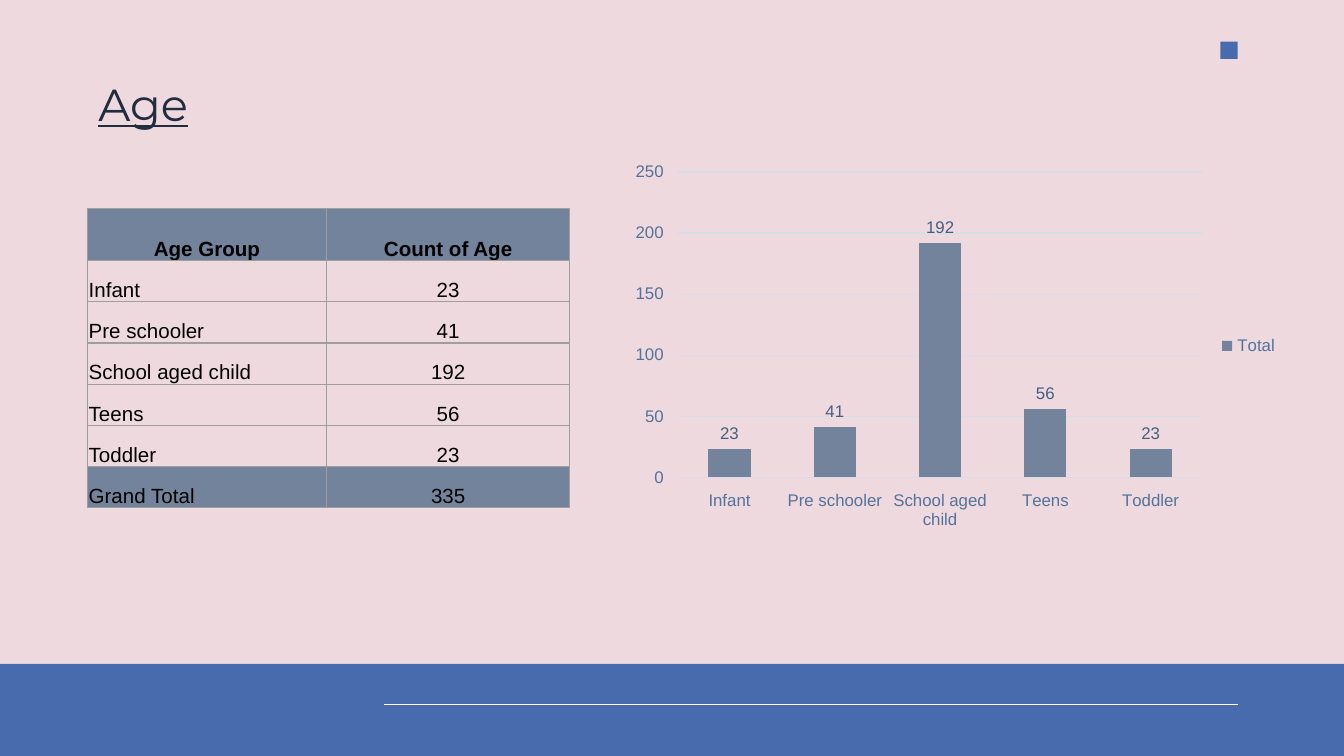
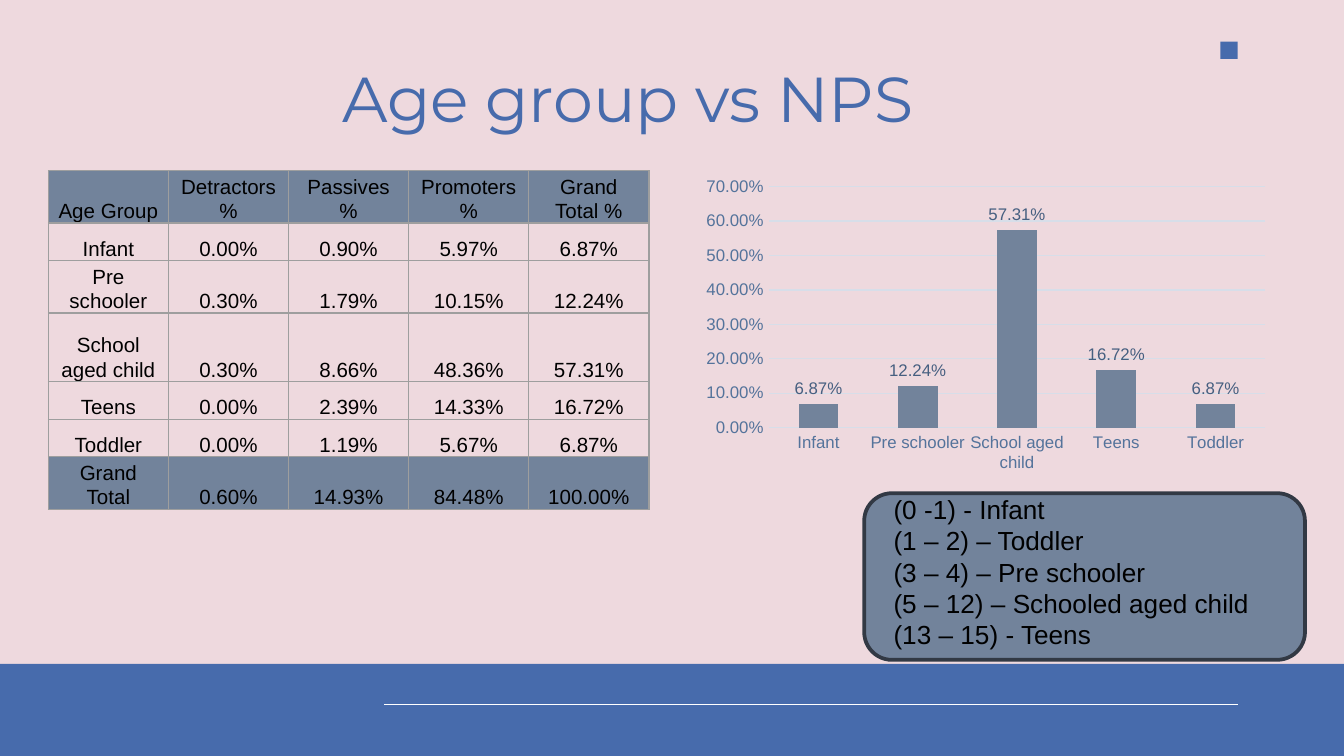
import pptx
import pptx.chart.data
import pptx.dml.color
import pptx.enum.chart
import pptx.enum.shapes
import pptx.enum.text
import pptx.oxml
import pptx.oxml.ns
import pptx.util
from pptx.util import Inches, Pt

PINK, BLUE, SLATE, NAVY = "EED9DE", "476BAC", "72839B", "212D3D"
BLACK, WHITE, BORDER, OUTLINE = "000000", "FFFFFF", "9E9E9E", "323944"
AXIS_TEXT, LABEL_TEXT, GRID = "54739B", "465F80", "D7DEE9"
ALIGN = pptx.enum.text.PP_ALIGN
TICK = pptx.enum.chart.XL_TICK_MARK
SHAPE = pptx.enum.shapes.MSO_SHAPE
AGE_GROUPS = ["Infant", "Pre schooler", "School aged child", "Teens", "Toddler"]


def rgb(value):
    return pptx.dml.color.RGBColor.from_string(value)


def style_font(font, size, color, name="Arial"):
    font.size = Pt(size)
    font.name = name
    font.color.rgb = rgb(color)


pages = [
    {
        "title": "Age", "title_at": (0.52, 0.47, 1.09, 0.49),
        "title_size": 24, "title_color": NAVY, "underline": True,
        "table_at": (0.65, 1.55, 3.59, 2.23),
        "columns": [1.78, 1.81], "rows": [0.39] + [(2.23 - 0.39) / 6] * 6,
        "margins": (0.01, 0.01, 0.01, 0), "bold_header": True,
        "first_column": ALIGN.JUSTIFY, "line_spacing": None, "space_after": None,
        "header": ["Age Group", "Count of Age"],
        "body": [["23"], ["41"], ["192"], ["56"], ["23"]],
        "total": ["Grand Total", "335"],
        "chart_at": (4.63, 1.15, 4.98, 2.85),
        "series": "Total", "values": [23, 41, 192, 56, 23], "format": "General",
        "top": 250, "step": 50, "tick": TICK.OUTSIDE, "legend": True,
    },
    {
        "title": "Age group vs NPS", "title_at": (1.55, 0.34, 6.24, 0.63),
        "title_size": 34, "title_color": BLUE, "underline": None,
        "table_at": (0.36, 1.27, 4.47, 2.49),
        "columns": [4.47 / 5] * 5, "rows": [0.39, 0.28, 0.39, 0.51, 0.28, 0.28, 0.39],
        "margins": (0.07, 0, 0.07, 0), "bold_header": False,
        "first_column": ALIGN.CENTER, "line_spacing": 1.07, "space_after": Pt(8),
        "header": ["Age Group", "Detractors %", "Passives %", "Promoters %", "Grand Total %"],
        "body": [
            ["0.00%", "0.90%", "5.97%", "6.87%"],
            ["0.30%", "1.79%", "10.15%", "12.24%"],
            ["0.30%", "8.66%", "48.36%", "57.31%"],
            ["0.00%", "2.39%", "14.33%", "16.72%"],
            ["0.00%", "1.19%", "5.67%", "6.87%"],
        ],
        "total": ["Grand Total", "0.60%", "14.93%", "84.48%", "100.00%"],
        "chart_at": (5.17, 1.27, 4.33, 2.29),
        "series": "Series 1", "values": [0.0687, 0.1224, 0.5731, 0.1672, 0.0687],
        "format": "0.00%",
        "top": 0.7, "step": 0.1, "tick": TICK.NONE, "legend": False,
    },
]

deck = pptx.Presentation()
deck.slide_width = Inches(10)
deck.slide_height = Inches(10 * 9 / 16)

for page in pages:
    slide = deck.slides.add_slide(deck.slide_layouts[5])
    slide.background.fill.solid()
    slide.background.fill.fore_color.rgb = rgb(PINK)

    # Corner square, footer band and footer rule
    for place in [(9.08, 0.31, 0.13, 0.13), (0, 4.94, 10, 0.69)]:
        block = slide.shapes.add_shape(SHAPE.RECTANGLE, *map(Inches, place))
        block.shadow.inherit = False
        block.fill.solid()
        block.fill.fore_color.rgb = rgb(BLUE)
        block.line.fill.background()
    rule = slide.shapes.add_connector(
        pptx.enum.shapes.MSO_CONNECTOR.STRAIGHT,
        Inches(2.86), Inches(5.24), Inches(9.21), Inches(5.24))
    rule.line.color.rgb = rgb(WHITE)
    rule.line.width = Pt(0.75)
    rule._element.spPr.append(pptx.oxml.parse_xml(
        f"<a:effectLst {pptx.oxml.ns.nsdecls('a')}/>"))

    # Title
    title = slide.shapes.title
    title.left, title.top, title.width, title.height = map(Inches, page["title_at"])
    frame = title.text_frame
    frame.text = page["title"]
    frame.word_wrap = True
    frame.auto_size = pptx.enum.text.MSO_AUTO_SIZE.NONE
    frame.vertical_anchor = pptx.enum.text.MSO_ANCHOR.TOP
    frame.margin_left = frame.margin_right = Inches(0.1)
    frame.margin_top = frame.margin_bottom = Inches(0.1)
    para = frame.paragraphs[0]
    para.alignment = ALIGN.CENTER
    span = para.runs[0]
    style_font(span.font, page["title_size"], page["title_color"], "Montserrat")
    span.font.underline = page["underline"]

    # Table
    body = [[group] + cells for group, cells in zip(AGE_GROUPS, page["body"])]
    rows = [page["header"]] + body + [page["total"]]
    table = slide.shapes.add_table(
        len(rows), len(page["columns"]), *map(Inches, page["table_at"])).table
    for column, width in zip(table.columns, page["columns"]):
        column.width = Inches(width)
    for row, height in zip(table.rows, page["rows"]):
        row.height = Inches(height)
    for row_index, texts in enumerate(rows):
        for column_index, text in enumerate(texts):
            cell = table.cell(row_index, column_index)
            cell.text = text
            cell.vertical_anchor = pptx.enum.text.MSO_ANCHOR.BOTTOM
            (cell.margin_left, cell.margin_top,
             cell.margin_right, cell.margin_bottom) = map(Inches, page["margins"])
            para = cell.text_frame.paragraphs[0]
            is_label = column_index == 0 and row_index > 0
            para.alignment = page["first_column"] if is_label else ALIGN.CENTER
            para.line_spacing = page["line_spacing"]
            para.space_after = page["space_after"]
            font = para.runs[0].font
            style_font(font, 11, BLACK)
            font.bold = row_index == 0 and page["bold_header"]
            properties = cell._tc.get_or_add_tcPr()
            for side in ["lnL", "lnR", "lnT", "lnB"]:
                properties.append(pptx.oxml.parse_xml(
                    f"<a:{side} {pptx.oxml.ns.nsdecls('a')} w='{Pt(0.75)}'>"
                    f"<a:solidFill><a:srgbClr val='{BORDER}'/></a:solidFill></a:{side}>"))
            if row_index in (0, len(rows) - 1):
                cell.fill.solid()
                cell.fill.fore_color.rgb = rgb(SLATE)
            else:
                cell.fill.background()

    # Chart
    data = pptx.chart.data.CategoryChartData(number_format=page["format"])
    data.categories = AGE_GROUPS
    data.add_series(page["series"], page["values"])
    chart = slide.shapes.add_chart(
        pptx.enum.chart.XL_CHART_TYPE.COLUMN_CLUSTERED,
        *map(Inches, page["chart_at"]), data).chart
    style_font(chart.font, 10, NAVY)
    chart.has_title = False
    chart.has_legend = page["legend"]
    if page["legend"]:
        chart.legend.position = pptx.enum.chart.XL_LEGEND_POSITION.RIGHT
        chart.legend.include_in_layout = False
        style_font(chart.legend.font, 9, AXIS_TEXT)
    for axis in [chart.category_axis, chart.value_axis]:
        axis.major_tick_mark = page["tick"]
        axis.minor_tick_mark = TICK.NONE
        axis.format.line.fill.background()
        style_font(axis.tick_labels.font, 9, AXIS_TEXT)
    scale = chart.value_axis
    scale.minimum_scale = 0
    scale.maximum_scale = page["top"]
    scale.major_unit = page["step"]
    scale.tick_labels.number_format = page["format"]
    scale.tick_labels.number_format_is_linked = False
    scale.has_major_gridlines = True
    scale.major_gridlines.format.line.color.rgb = rgb(GRID)
    scale.major_gridlines.format.line.width = Pt(0.75)
    plot = chart.plots[0]
    plot.gap_width = 150
    plot.vary_by_categories = False
    series = plot.series[0]
    series.format.fill.solid()
    series.format.fill.fore_color.rgb = rgb(SLATE)
    labels = series.data_labels
    labels.show_value = True
    labels.position = pptx.enum.chart.XL_LABEL_POSITION.OUTSIDE_END
    labels.number_format = page["format"]
    labels.number_format_is_linked = False
    style_font(labels.font, 9, LABEL_TEXT)

# Key to the age groups, on the last slide
panel = slide.shapes.add_shape(
    SHAPE.ROUNDED_RECTANGLE, Inches(6.43), Inches(3.67), Inches(3.28), Inches(1.24))
panel.shadow.inherit = False
panel.fill.solid()
panel.fill.fore_color.rgb = rgb(SLATE)
panel.line.color.rgb = rgb(OUTLINE)
panel.line.width = Pt(2)

box = slide.shapes.add_textbox(Inches(6.55), Inches(3.62), Inches(3.02), Inches(1.51))
box.text_frame.word_wrap = True
box.text_frame.auto_size = pptx.enum.text.MSO_AUTO_SIZE.SHAPE_TO_FIT_TEXT
box.text_frame.text = "\n".join([
    "(0 -1) - Infant",
    "(1 – 2) – Toddler",
    "(3 – 4) – Pre schooler",
    "(5 – 12) – Schooled aged child",
    "(13 – 15) - Teens",
])
for para in box.text_frame.paragraphs:
    style_font(para.runs[0].font, 14, BLACK)

deck.save("out.pptx")
